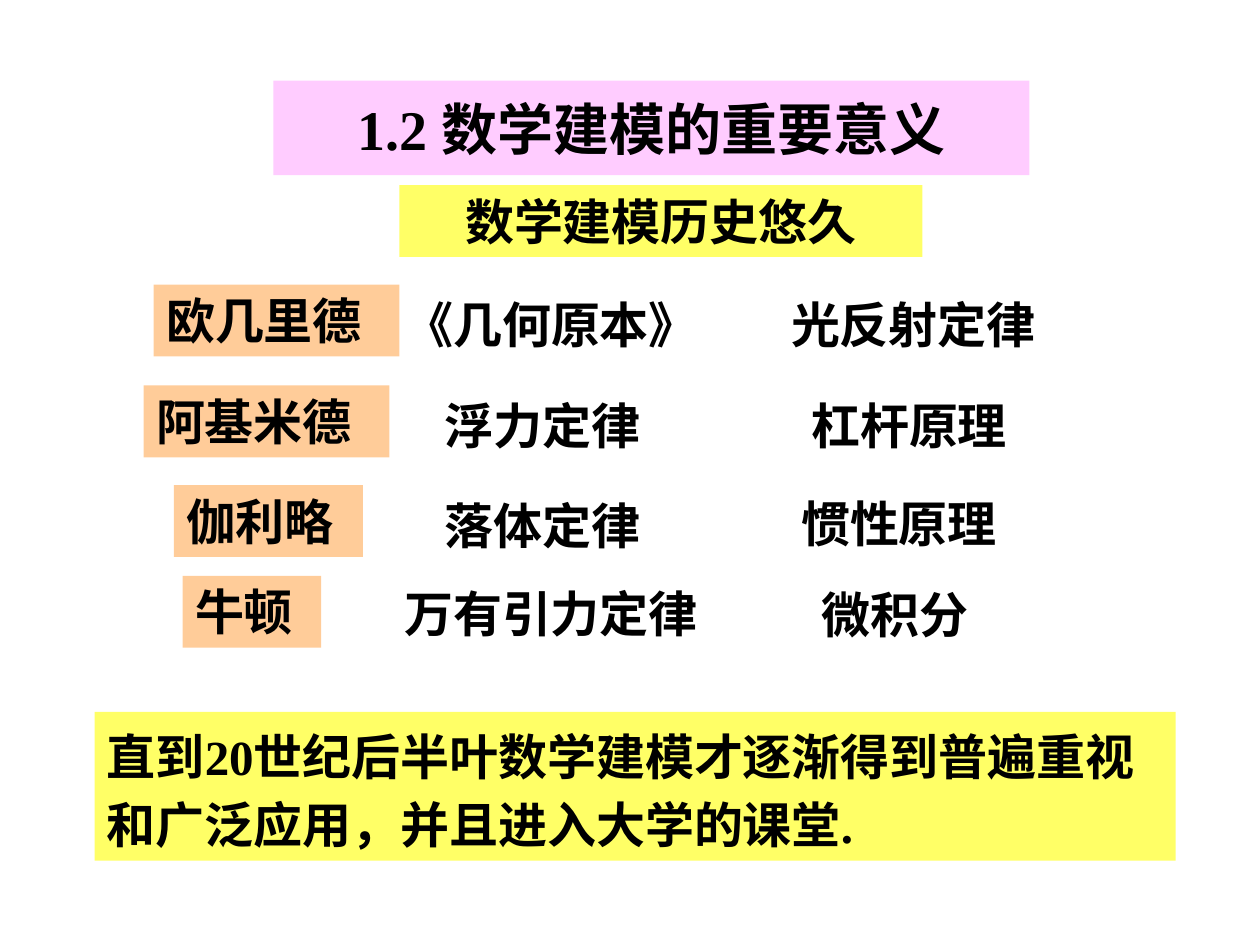
from dataclasses import dataclass

from pptx import Presentation
from pptx import util as u
from pptx.dml.color import RGBColor
from pptx.enum import shapes, text


@dataclass(frozen=True)
class Theme:
    """Colours, fonts and type sizes of the slide."""
    ink: str = "000000"
    pink: str = "FFCCFF"
    yellow: str = "FFFF66"
    orange: str = "FFCC99"
    cjk: str = "Noto Sans CJK SC"
    serif: str = "Times New Roman"
    title: int = 32
    body: int = 28


THEME = Theme()
LINE_HEIGHT = 0.57
SCHOLARS = [
    (2.26, [("欧几里德", 0.47, 0, 1.95), ("《几何原本》", 2.36, 0.03, 2.91),
            ("光反射定律", 5.43, 0.03, 2.91)]),
    (3.06, [("阿基米德", 0.39, 0, 1.95), ("浮力定律", 2.68, 0.03, 2.2),
            ("杠杆原理", 5.59, 0.03, 2.2)]),
    (3.85, [("伽利略", 0.63, 0, 1.5), ("落体定律", 2.68, 0.03, 2.2),
            ("惯性原理", 5.51, 0.02, 2.2)]),
    (4.57, [("牛顿", 0.7, 0, 1.1), ("万有引力定律", 2.36, 0.01, 3.07),
            ("微积分", 5.67, 0.02, 1.81)]),
]


def add_label(s, box, words, fill=None, font=THEME.cjk, size=THEME.body,
              align=text.PP_ALIGN.LEFT, anchor=text.MSO_ANCHOR.TOP, spacing=None):
    """Place bold text in a box, filled when a colour is given."""
    place = [u.Inches(v) for v in box]
    if fill:
        sp = s.shapes.add_shape(shapes.MSO_SHAPE.RECTANGLE, *place)
        sp.shadow.inherit = False
        sp.fill.solid()
        sp.fill.fore_color.rgb = RGBColor.from_string(fill)
        sp.line.fill.background()
    else:
        sp = s.shapes.add_textbox(*place)
    tf = sp.text_frame
    tf.word_wrap = True
    tf.vertical_anchor = anchor
    p = tf.paragraphs[0]
    p.text = words
    p.alignment = align
    if spacing:
        p.line_spacing = spacing
    p.font.name = font
    p.font.size = u.Pt(size)
    p.font.bold = True
    p.font.color.rgb = RGBColor.from_string(THEME.ink)


def add_heading(s, box):
    """Place the section title and the subtitle below it."""
    left, top, width, height = box
    add_label(s, (left, top, width, 0.75), "1.2 数学建模的重要意义", THEME.pink,
              THEME.serif, THEME.title, text.PP_ALIGN.CENTER, text.MSO_ANCHOR.MIDDLE)
    add_label(s, (left + 1, top + height - LINE_HEIGHT, 4.15, LINE_HEIGHT),
              "数学建模历史悠久", THEME.yellow, align=text.PP_ALIGN.CENTER)


def add_scholar(s, left, top, cells):
    """Place one row: a scholar's name followed by two achievements."""
    for i, (words, dx, dy, width) in enumerate(cells):
        add_label(s, (left + dx, top + dy, width, LINE_HEIGHT), words,
                  THEME.orange if i == 0 else None)


def add_conclusion(s, box):
    """Place the closing statement."""
    add_label(s, box, "直到20世纪后半叶数学建模才逐渐得到普遍重视和广泛应用，并且进入大学的课堂.",
              THEME.yellow, THEME.serif, spacing=1.15)


def main():
    """Build and save the slide."""
    prs = Presentation()
    prs.slide_width, prs.slide_height = u.Inches(10), u.Inches(7.5)
    s = prs.slides.add_slide(prs.slide_layouts[6])
    add_heading(s, (2.17, 0.64, 6, 1.4))
    for top, cells in SCHOLARS:
        add_scholar(s, 0.75, top, cells)
    add_conclusion(s, (0.75, 5.65, 8.58, 1.18))
    prs.save("out.pptx")


if __name__ == "__main__":
    main()
